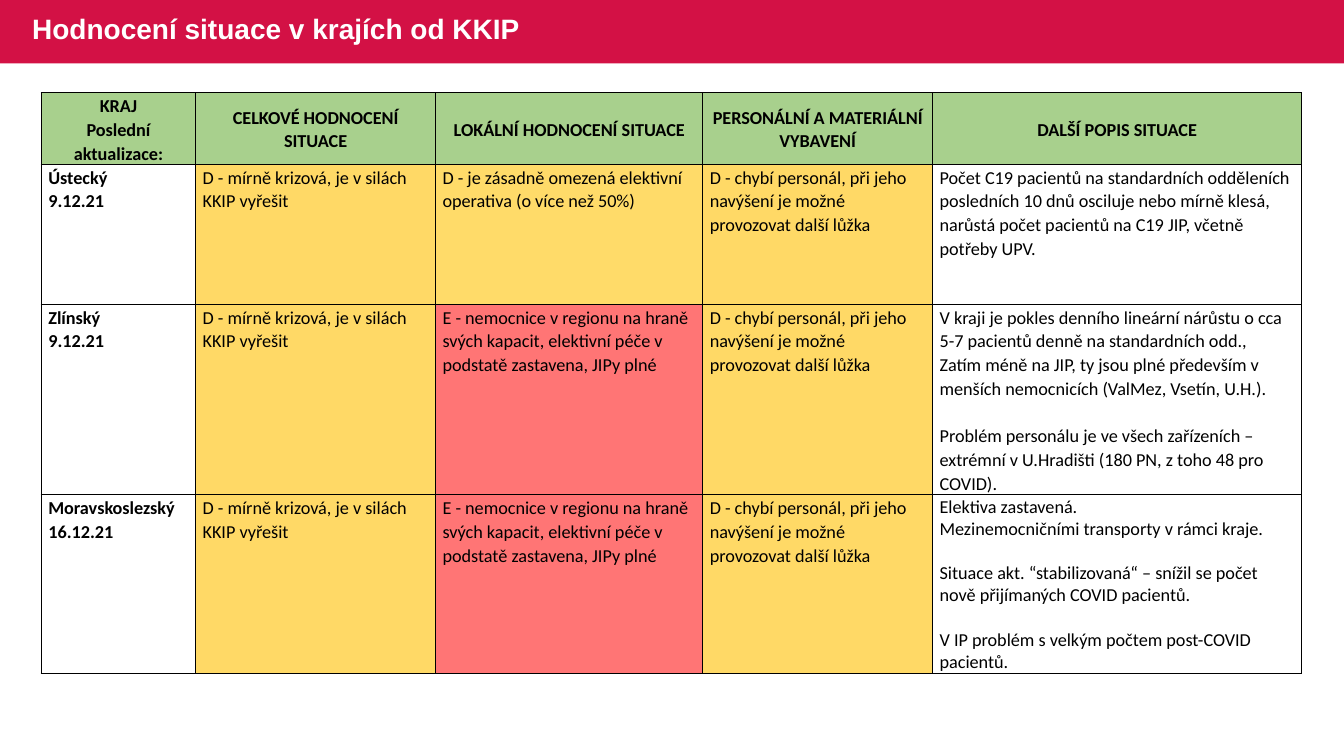
from dataclasses import dataclass

from lxml.etree import SubElement
from pptx import Presentation
from pptx.dml.color import RGBColor
from pptx.enum.shapes import MSO_SHAPE
from pptx.enum.text import MSO_ANCHOR, PP_ALIGN
from pptx.oxml.ns import qn
from pptx.util import Inches, Pt


@dataclass(frozen=True)
class Theme:
    banner: str = "D31145"
    title: str = "FFFFFF"
    ink: str = "000000"
    header: str = "A8D08D"
    amber: str = "FFD966"
    light_amber: str = "FFDB69"
    red: str = "FF7575"
    title_font: str = "Arial"
    table_font: str = "Calibri"
    title_size: int = 20
    table_size: int = 13
    border: int = 1


theme = Theme()


def write(frame, text, font=theme.table_font, size=theme.table_size, color=theme.ink,
          bold=False, align=PP_ALIGN.LEFT, spacing=1.07, gap=16.9):
    """Write one paragraph per line; a line starting with ¶ gets a gap above it."""
    for index, line in enumerate(text.split("\n")):
        paragraph = frame.paragraphs[0] if index == 0 else frame.add_paragraph()
        paragraph.alignment = align
        paragraph.line_spacing = spacing
        if line.startswith("¶"):
            paragraph.space_before = Pt(gap)
        run = paragraph.add_run()
        run.text = line.lstrip("¶")
        run.font.name = font
        run.font.size = Pt(size)
        run.font.bold = bold
        run.font.color.rgb = RGBColor.from_string(color)


def add_borders(cell):
    properties = cell._tc.get_or_add_tcPr()
    for side in ("a:lnL", "a:lnR", "a:lnT", "a:lnB"):
        line = SubElement(properties, qn(side), w=str(Pt(theme.border)))
        SubElement(SubElement(line, qn("a:solidFill")), qn("a:srgbClr"), val=theme.ink)


prs = Presentation()
prs.slide_width, prs.slide_height = Inches(13.33), Inches(7.5)
slide = prs.slides.add_slide(prs.slide_layouts[6])

# Banner and title
banner = slide.shapes.add_shape(MSO_SHAPE.RECTANGLE, 0, 0, prs.slide_width, Inches(0.63))
banner.shadow.inherit = False
banner.fill.solid()
banner.fill.fore_color.rgb = RGBColor.from_string(theme.banner)
banner.line.fill.background()

title = slide.shapes.add_textbox(Inches(0.22), Inches(-0.01), Inches(8.14), Inches(0.63)).text_frame
title.word_wrap = True
title.vertical_anchor = MSO_ANCHOR.MIDDLE
write(title, "Hodnocení situace v krajích od KKIP", font=theme.title_font,
      size=theme.title_size, color=theme.title, bold=True, spacing=0.9)

# Wording shared by several regions
OVERALL_D = "D - mírně krizová, je v silách KKIP vyřešit"
LOCAL_D = "D - je zásadně omezená elektivní operativa (o více než 50%)"
LOCAL_E = "E - nemocnice v regionu na hraně svých kapacit, elektivní péče v podstatě zastavena, JIPy plné"
STAFF_D = "D - chybí personál, při jeho navýšení je možné provozovat další lůžka"

headings = ["KRAJ\nPoslední aktualizace:", "CELKOVÉ HODNOCENÍ SITUACE",
            "LOKÁLNÍ HODNOCENÍ SITUACE", "PERSONÁLNÍ A MATERIÁLNÍ VYBAVENÍ",
            "DALŠÍ POPIS SITUACE"]
regions = [
    ["Ústecký\n9.12.21", OVERALL_D, LOCAL_D, STAFF_D,
     "Počet C19 pacientů na standardních odděleních posledních 10 dnů osciluje nebo mírně "
     "klesá, narůstá počet pacientů na C19 JIP, včetně potřeby UPV."],
    ["Zlínský\n9.12.21", OVERALL_D, LOCAL_E, STAFF_D,
     "V kraji je pokles denního lineární nárůstu o cca 5-7 pacientů denně na standardních odd.,\n"
     "Zatím méně na JIP, ty jsou plné především v menších nemocnicích (ValMez, Vsetín, U.H.).\n"
     "¶Problém personálu je ve všech zařízeních – extrémní v U.Hradišti (180 PN, z toho 48 pro COVID)."],
    ["Moravskoslezský\n16.12.21", OVERALL_D, LOCAL_E, STAFF_D,
     "Elektiva zastavená.\nMezinemocničními transporty v rámci kraje.\n"
     "¶Situace akt. “stabilizovaná“ – snížil se počet nově přijímaných COVID pacientů.\n"
     "¶V IP problém s velkým počtem post-COVID pacientů."],
]
rating_fills = {OVERALL_D: theme.amber, LOCAL_D: theme.light_amber,
                LOCAL_E: theme.red, STAFF_D: theme.amber}

# Table grid
column_widths = [1.53, 2.38, 2.65, 2.28, 3.66]
row_heights = [0.71, 1.39, 1.89, 1.77]
assessment = slide.shapes.add_table(
    len(row_heights), len(column_widths), Inches(0.41), Inches(0.92),
    Inches(sum(column_widths)), Inches(sum(row_heights))).table
assessment.first_row = False
assessment.horz_banding = False
for column, width in zip(assessment.columns, column_widths):
    column.width = Inches(width)
for row, height in zip(assessment.rows, row_heights):
    row.height = Inches(height)

# Table cells
for r, texts in enumerate([headings, *regions]):
    for c, text in enumerate(texts):
        cell = assessment.cell(r, c)
        is_heading = r == 0
        cell.margin_left = cell.margin_right = Inches(0.07)
        cell.margin_top, cell.margin_bottom = Inches(0.01), 0
        cell.vertical_anchor = MSO_ANCHOR.MIDDLE if is_heading else MSO_ANCHOR.TOP
        add_borders(cell)
        fill = theme.header if is_heading else rating_fills.get(text)
        if fill:
            cell.fill.solid()
            cell.fill.fore_color.rgb = RGBColor.from_string(fill)
        else:
            cell.fill.background()
        is_last_note = r == len(regions) and c == len(headings) - 1
        write(cell.text_frame, text, bold=is_heading or c == 0,
              align=PP_ALIGN.CENTER if is_heading else PP_ALIGN.LEFT,
              spacing=1.0 if is_last_note else 1.07, gap=15.9 if is_last_note else 16.9)

prs.save("out.pptx")
